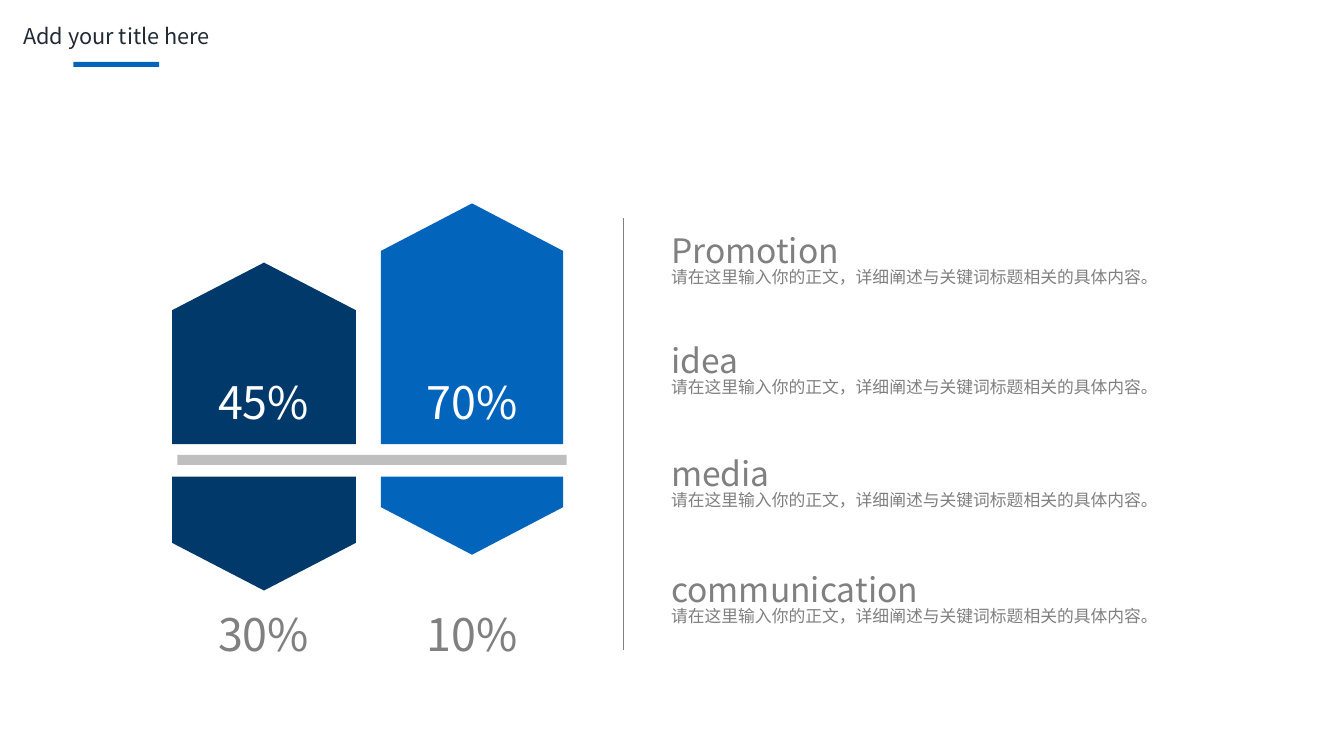
from pptx import Presentation
from pptx.dml.color import RGBColor
from pptx.enum.shapes import MSO_CONNECTOR, MSO_SHAPE
from pptx.enum.text import MSO_ANCHOR, PP_ALIGN
from pptx.oxml.ns import qn
from pptx.util import Pt
from lxml.etree import SubElement

NAVY, BLUE, GREY, SILVER = "02396B", "0364BB", "808080", "BFBFBF"
WHITE, INK = "FFFFFF", "222A35"
BODY = "请在这里输入你的正文，详细阐述与关键词标题相关的具体内容。"


def color(value):
    return RGBColor.from_string(value)


class Deck:
    font = "Noto Sans CJK SC"

    def __init__(self, width, height):
        self.prs = Presentation()
        self.prs.slide_width, self.prs.slide_height = Pt(width), Pt(height)
        self.s = self.prs.slides.add_slide(self.prs.slide_layouts[5])

    def fill_text(self, sp, text, size, fill, align, inset=(7.2, 3.6)):
        tf = sp.text_frame
        tf.word_wrap = True
        tf.vertical_anchor = MSO_ANCHOR.TOP
        tf.margin_left = tf.margin_right = Pt(inset[0])
        tf.margin_top = tf.margin_bottom = Pt(inset[1])
        p = tf.paragraphs[0]
        p.alignment = align
        r = p.add_run()
        r.text = text
        r.font.name, r.font.size = self.font, Pt(size)
        r.font.color.rgb = color(fill)
        SubElement(r.font._element, qn("a:ea")).set("typeface", self.font)
        return p

    def title(self, text, x, y, w, h):
        sp = self.s.shapes.title
        sp.left, sp.top, sp.width, sp.height = Pt(x), Pt(y), Pt(w), Pt(h)
        p = self.fill_text(sp, text, 15.5, INK, PP_ALIGN.CENTER, (8.6, 4.3))
        p.line_spacing = 1.2
        p.space_before = Pt(0)

    def text(self, text, x, y, w, h, size, fill=GREY, align=PP_ALIGN.LEFT):
        sp = self.s.shapes.add_textbox(Pt(x), Pt(y), Pt(w), Pt(h))
        self.fill_text(sp, text, size, fill, align)

    def paint(self, sp, fill):
        sp.shadow.inherit = False
        sp.fill.solid()
        sp.fill.fore_color.rgb = color(fill)
        sp.line.fill.background()

    def bar(self, x, y, w, h, fill):
        sp = self.s.shapes.add_shape(MSO_SHAPE.RECTANGLE, Pt(x), Pt(y), Pt(w), Pt(h))
        self.paint(sp, fill)

    def pointed_bar(self, x, base, w, rise, fill):
        tip = base - rise
        shoulder = tip + (34 if rise > 0 else -34)
        points = [(x + w, base), (x + w, shoulder), (x + w / 2, tip), (x, shoulder)]
        fb = self.s.shapes.build_freeform(Pt(x), Pt(base), 1.0)
        fb.add_line_segments([(Pt(px), Pt(py)) for px, py in points], close=True)
        self.paint(fb.convert_to_shape(), fill)

    def line(self, x1, y1, x2, y2, fill, width):
        c = self.s.shapes.add_connector(
            MSO_CONNECTOR.STRAIGHT, Pt(x1), Pt(y1), Pt(x2), Pt(y2))
        c.line.color.rgb, c.line.width = color(fill), Pt(width)
        SubElement(c._element.spPr, qn("a:effectLst"))


def main():
    deck = Deck(960, 540)
    deck.title("Add your title here", 4.3, 8.6, 157.7, 29.5)
    deck.bar(52.5, 44.2, 61.2, 3.6, BLUE)

    columns = [(123, 131.2, 129.6, 81.4, NAVY, "45%", "30%"),
               (272, 130.3, 171.9, 55.8, BLUE, "70%", "10%")]
    for x, w, up, down, fill, upper, lower in columns:
        deck.pointed_bar(x, 317.2, w, up, fill)
        deck.pointed_bar(x, 340.4, w, -down, fill)
        for label, y, ink in [(upper, 264.2, WHITE), (lower, 429.8, GREY)]:
            deck.text(label, x - 4.2, y, 139, 46, 32, ink, PP_ALIGN.CENTER)
    deck.bar(126.7, 325, 278, 7.2, SILVER)

    topics = [("Promotion", 160.6, 137.5), ("idea", 239, 63.4),
              ("media", 319.7, 86.4), ("communication", 402.5, 195.1)]
    for name, y, w in topics:
        deck.text(name, 472.3, y, w, 36, 24)
        deck.text(BODY, 472.3, y + 26.5, 388.8, 21.6, 12, align=PP_ALIGN.JUSTIFY)
    deck.line(445, 155.5, 445, 464.4, GREY, 0.5)

    deck.prs.save("out.pptx")


if __name__ == "__main__":
    main()
